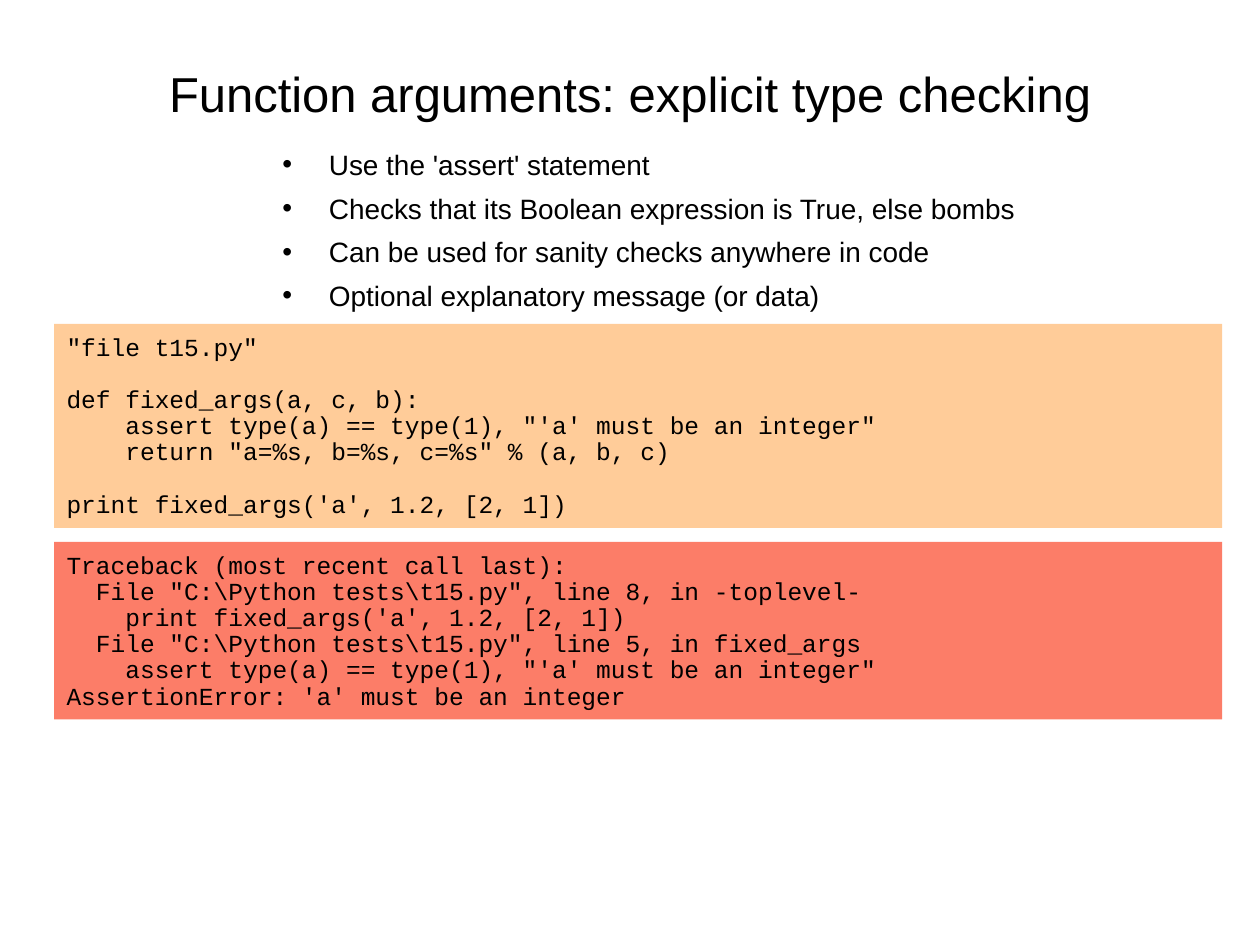
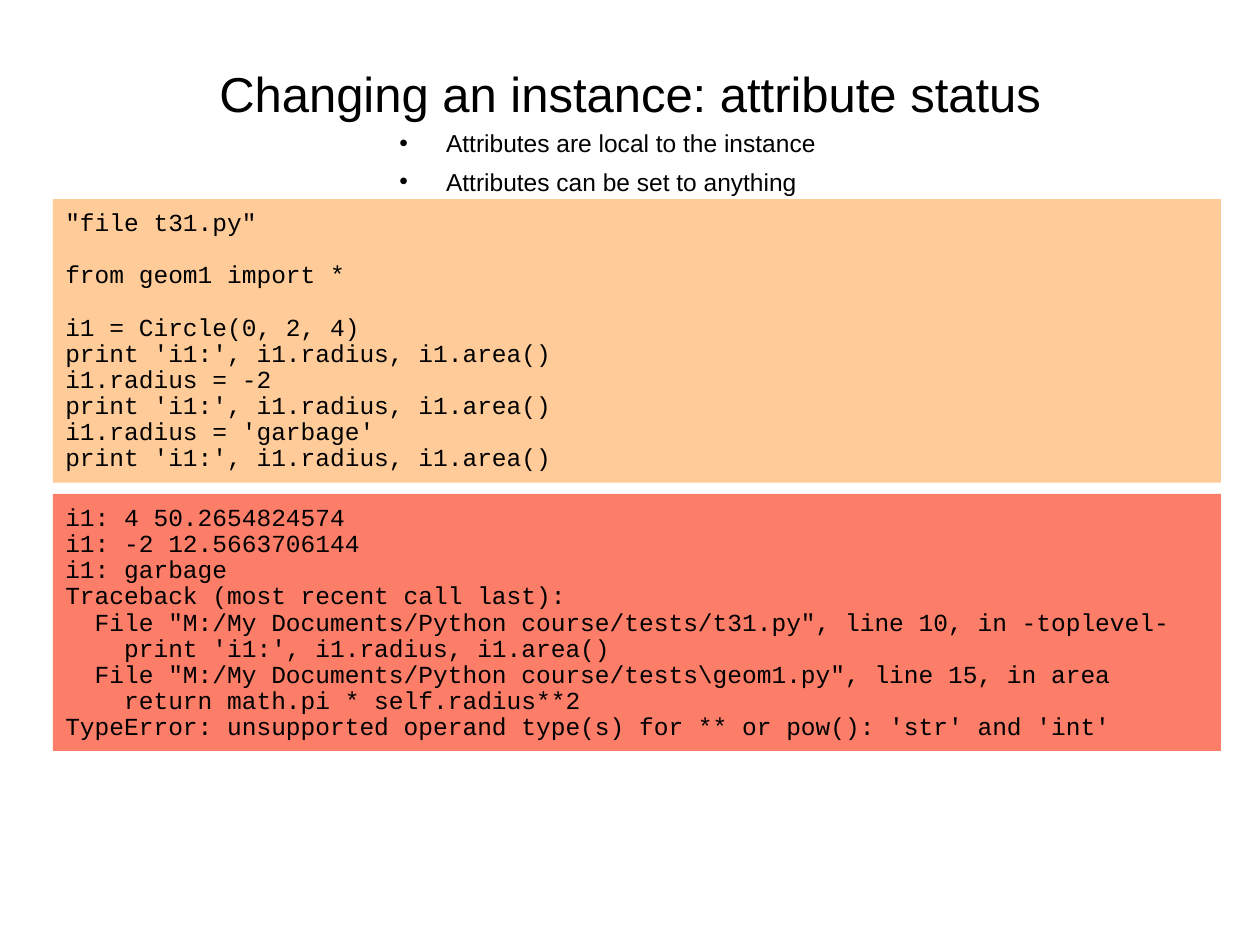
import pptx
import pptx.util
import pptx.dml.color
import pptx.enum.shapes
import pptx.enum.text

Inches, Pt = pptx.util.Inches, pptx.util.Pt

SLIDES = [
    {
        "title": "Function arguments: explicit type checking",
        "points": [
            "Use the 'assert' statement",
            "Checks that its Boolean expression is True, else bombs",
            "Can be used for sanity checks anywhere in code",
            "Optional explanatory message (or data)",
        ],
        "points_area": (2.24, 1.16, 6.14, 1.34),
        "points_size": 16,
        "panel_left": 0.43,
        "panel_tops": (2.57, 4.3),
        "code": """\
"file t15.py"

def fixed_args(a, c, b):
    assert type(a) == type(1), "'a' must be an integer"
    return "a=%s, b=%s, c=%s" % (a, b, c)

print fixed_args('a', 1.2, [2, 1])""",
        "output": r"""Traceback (most recent call last):
  File "C:\Python tests\t15.py", line 8, in -toplevel-
    print fixed_args('a', 1.2, [2, 1])
  File "C:\Python tests\t15.py", line 5, in fixed_args
    assert type(a) == type(1), "'a' must be an integer"
AssertionError: 'a' must be an integer""",
    },
    {
        "title": "Changing an instance: attribute status",
        "points": [
            "Attributes are local to the instance",
            "Attributes can be set to anything",
        ],
        "points_area": (3.17, 1.01, 3.58, 0.59),
        "points_size": 14,
        "panel_left": 0.42,
        "panel_tops": (1.58, 3.92),
        "code": """\
"file t31.py"

from geom1 import *

i1 = Circle(0, 2, 4)
print 'i1:', i1.radius, i1.area()
i1.radius = -2
print 'i1:', i1.radius, i1.area()
i1.radius = 'garbage'
print 'i1:', i1.radius, i1.area()""",
        "output": r"""i1: 4 50.2654824574
i1: -2 12.5663706144
i1: garbage
Traceback (most recent call last):
  File "M:/My Documents/Python course/tests/t31.py", line 10, in -toplevel-
    print 'i1:', i1.radius, i1.area()
  File "M:/My Documents/Python course/tests\geom1.py", line 15, in area
    return math.pi * self.radius**2
TypeError: unsupported operand type(s) for ** or pow(): 'str' and 'int'""",
    },
]

INK, CODE_FILL, OUTPUT_FILL = "000000", "FFCC99", "FC7D68"
TITLE_AREA = (0.75, 0.44, 8.5, 0.57)
PANEL_WIDTH, PANEL_PADDING, ROW_HEIGHT = 9.27, 0.15, 0.21
CODE_PITCH = 14.95
POINT_INDENT, POINT_GAP = 0.37, 0.31
PROSE_SPACING = 1.04


def color(hex_string):
    return pptx.dml.color.RGBColor.from_string(hex_string)


def place(part, area):
    part.left, part.top, part.width, part.height = map(Inches, area)


def set_frame(frame, anchor, side=0, top=0):
    frame.word_wrap = True
    frame.auto_size = pptx.enum.text.MSO_AUTO_SIZE.NONE
    frame.vertical_anchor = anchor
    frame.margin_left = frame.margin_right = Inches(side)
    frame.margin_top, frame.margin_bottom = Inches(top), 0


def add_line(frame, index, text, font_name, size, spacing, before, align):
    line = frame.add_paragraph() if index else frame.paragraphs[0]
    line.text = text
    line.alignment = align
    line.line_spacing = spacing
    line.space_before = Pt(before if index else 0)
    line.font.name, line.font.size = font_name, Pt(size)
    line.font.color.rgb = color(INK)
    return line


def add_title(slide, text):
    title = slide.shapes.title
    place(title, TITLE_AREA)
    set_frame(title.text_frame, pptx.enum.text.MSO_ANCHOR.MIDDLE)
    add_line(title.text_frame, 0, text, "Arial", 28, PROSE_SPACING, 0,
             pptx.enum.text.PP_ALIGN.CENTER)


def add_points(slide, points, area, size):
    body = slide.placeholders[1]
    place(body, area)
    set_frame(body.text_frame, pptx.enum.text.MSO_ANCHOR.TOP)
    for index, text in enumerate(points):
        point = add_line(body.text_frame, index, text, "Arial", size, PROSE_SPACING,
                         size * POINT_GAP, pptx.enum.text.PP_ALIGN.LEFT)
        properties = point._p.get_or_add_pPr()
        properties.set("marL", str(Inches(POINT_INDENT)))
        properties.set("indent", str(-Inches(POINT_INDENT)))


def add_panel(slide, listing, left, top, fill):
    rows = listing.split("\n")
    height = PANEL_PADDING + ROW_HEIGHT * len(rows)
    panel = slide.shapes.add_shape(
        pptx.enum.shapes.MSO_SHAPE.ROUNDED_RECTANGLE,
        *map(Inches, (left, top, PANEL_WIDTH, height)))
    panel.adjustments[0] = 0
    panel.shadow.inherit = False
    panel.fill.solid()
    panel.fill.fore_color.rgb = color(fill)
    panel.line.fill.background()
    set_frame(panel.text_frame, pptx.enum.text.MSO_ANCHOR.TOP, side=0.1, top=0.09)
    for index, text in enumerate(rows):
        if text:
            gap = CODE_PITCH if index and not rows[index - 1] else 0
            add_line(panel.text_frame, index, text, "Courier New", 14, Pt(CODE_PITCH),
                     gap, pptx.enum.text.PP_ALIGN.LEFT)


def main():
    deck = pptx.Presentation()
    deck.slide_width, deck.slide_height = Inches(10), Inches(7.5)
    for content in SLIDES:
        slide = deck.slides.add_slide(deck.slide_layouts[1])
        add_title(slide, content["title"])
        add_points(slide, content["points"], content["points_area"], content["points_size"])
        code_top, output_top = content["panel_tops"]
        add_panel(slide, content["code"], content["panel_left"], code_top, CODE_FILL)
        add_panel(slide, content["output"], content["panel_left"], output_top, OUTPUT_FILL)
    deck.save("out.pptx")


if __name__ == "__main__":
    main()
